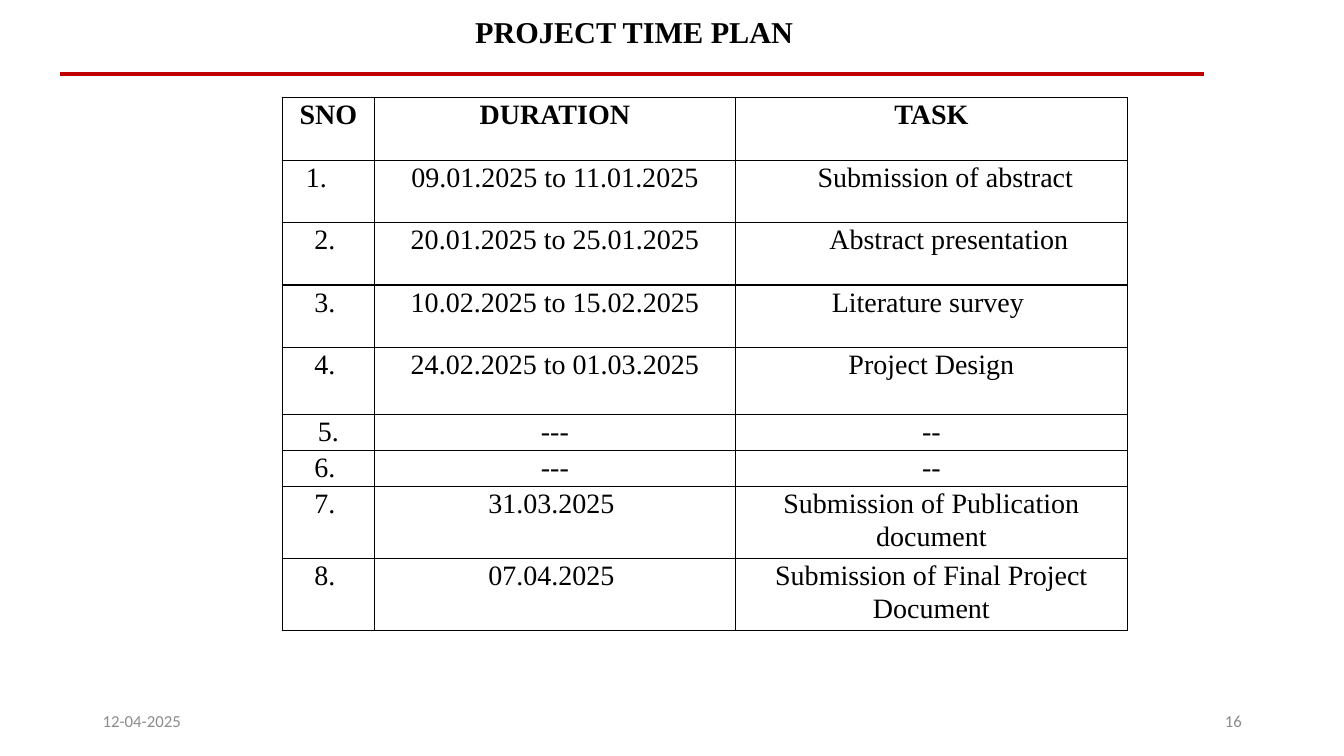
from lxml.etree import SubElement
from pptx import Presentation
from pptx.dml.color import RGBColor
from pptx.enum.shapes import MSO_CONNECTOR
from pptx.enum.text import MSO_ANCHOR as ANCHOR, MSO_AUTO_SIZE as FIT, PP_ALIGN as ALIGN
from pptx.oxml.ns import qn
from pptx.util import Pt


def rgb(value):
    """Turn a hex string into a colour."""
    return RGBColor.from_string(value)


class Deck:
    """Holds the style and the current slide, and adds elements to it."""

    SERIF = {"name": "Times New Roman", "size": Pt(20), "bold": False}
    TITLE = {**SERIF, "size": Pt(21.6), "bold": True}
    HEAD = {**SERIF, "bold": True}
    FOOT = {"name": "Calibri", "size": Pt(12)}
    INK, GREY, RED = "000000", "8C8C8C", "C00000"

    def __init__(self, width, height):
        """Start a presentation with one title-only slide."""
        self.prs = Presentation()
        self.prs.slide_width, self.prs.slide_height = Pt(width), Pt(height)
        self.slide = self.prs.slides.add_slide(self.prs.slide_layouts[5])

    def add_text(self, tf, text, font, color, align, spacing=1.0):
        """Fill a text frame with one formatted paragraph."""
        p = tf.paragraphs[0]
        p.alignment, p.line_spacing = align, spacing
        r = p.add_run()
        r.text = text
        for name, value in font.items():
            setattr(r.font, name, value)
        r.font.color.rgb = rgb(color)

    def title(self, text, x, y, w, h):
        """Place and format the title placeholder."""
        sp = self.slide.shapes.title
        sp.left, sp.top, sp.width, sp.height = map(Pt, (x, y, w, h))
        tf = sp.text_frame
        frame = {"auto_size": FIT.NONE, "word_wrap": True,
                 "vertical_anchor": ANCHOR.MIDDLE, "margin_right": Pt(12.6)}
        for name, value in frame.items():
            setattr(tf, name, value)
        self.add_text(tf, text, self.TITLE, self.INK, ALIGN.CENTER, 0.9)

    def footer(self, text, x, y, w, h, align):
        """Add a small grey text box."""
        tf = self.slide.shapes.add_textbox(*map(Pt, (x, y, w, h))).text_frame
        tf.word_wrap, tf.vertical_anchor = True, ANCHOR.MIDDLE
        self.add_text(tf, text, self.FOOT, self.GREY, align)

    def rule(self, x1, x2, y, weight):
        """Add a horizontal red line."""
        s = self.slide.shapes.add_connector(
            MSO_CONNECTOR.STRAIGHT, *map(Pt, (x1, y, x2, y)))
        s.line.color.rgb, s.line.width = rgb(self.RED), Pt(weight)
        SubElement(s._element.spPr, qn("a:effectLst"))

    def borders(self, cell):
        """Draw a thin line on each side of a cell."""
        tcPr = cell._tc.get_or_add_tcPr()
        for i, side in enumerate(("lnL", "lnR", "lnT", "lnB")):
            ln = tcPr.makeelement(qn(f"a:{side}"), {"w": str(Pt(1))})
            tcPr.insert(i, ln)
            fill = SubElement(ln, qn("a:solidFill"))
            SubElement(fill, qn("a:srgbClr"), val=self.INK)

    def table(self, rows, nudges, x, y, widths, heights):
        """Add a bordered table; nudges widen a left (+) or right (-) margin."""
        tbl = self.slide.shapes.add_table(
            len(rows), len(widths), Pt(x), Pt(y),
            Pt(sum(widths)), Pt(sum(heights))).table
        tbl.first_row = tbl.horz_banding = False
        for col, w in zip(tbl.columns, widths):
            col.width = Pt(w)
        for i, (row, h) in enumerate(zip(rows, heights)):
            tbl.rows[i].height = Pt(h)
            for j, text in enumerate(row):
                cell, nudge = tbl.cell(i, j), nudges.get((i, j), 0)
                margins = {"margin_left": Pt(5 + max(nudge, 0)),
                           "margin_right": Pt(5 + max(-nudge, 0)),
                           "margin_top": 0, "margin_bottom": 0}
                for name, value in margins.items():
                    setattr(cell, name, value)
                cell.fill.background()
                self.borders(cell)
                self.add_text(cell.text_frame, text, self.SERIF if i else self.HEAD,
                              self.INK, ALIGN.CENTER, 1.07)


PLAN = [
    ("09.01.2025 to 11.01.2025", "Submission of abstract"),
    ("20.01.2025 to 25.01.2025", "Abstract presentation"),
    ("10.02.2025 to 15.02.2025", "Literature survey"),
    ("24.02.2025 to 01.03.2025", "Project Design"),
    ("---", "--"),
    ("---", "--"),
    ("31.03.2025", "Submission of Publication document"),
    ("07.04.2025", "Submission of Final Project Document"),
]


def main():
    """Build the time plan slide."""
    deck = Deck(960, 540)
    deck.title("PROJECT TIME PLAN", 274.3, 7.9, 362.9, 31.7)
    deck.footer("12-04-2025", 66.2, 500.4, 216, 28.8, ALIGN.LEFT)
    deck.footer("16", 678.2, 500.4, 216, 28.8, ALIGN.RIGHT)
    rows = [("SNO", "DURATION", "TASK")]
    rows += [(f"{n}.", *entry) for n, entry in enumerate(PLAN, 1)]
    nudges = {(n, 0): -5 for n in (2, 3, 4, 6, 7, 8)}
    nudges |= {(1, 0): -17, (1, 2): 20, (2, 2): 25, (3, 2): -5, (7, 1): -5, (8, 1): -5}
    heights = [44.6] * 4 + [47.8] + [23.6] * 2 + [47.5] * 2
    deck.table(rows, nudges, 201.6, 69.8, [65.9, 257.8, 280.1], heights)
    deck.rule(43.2, 859.7, 52.6, 3)
    deck.prs.save("out.pptx")


if __name__ == "__main__":
    main()
